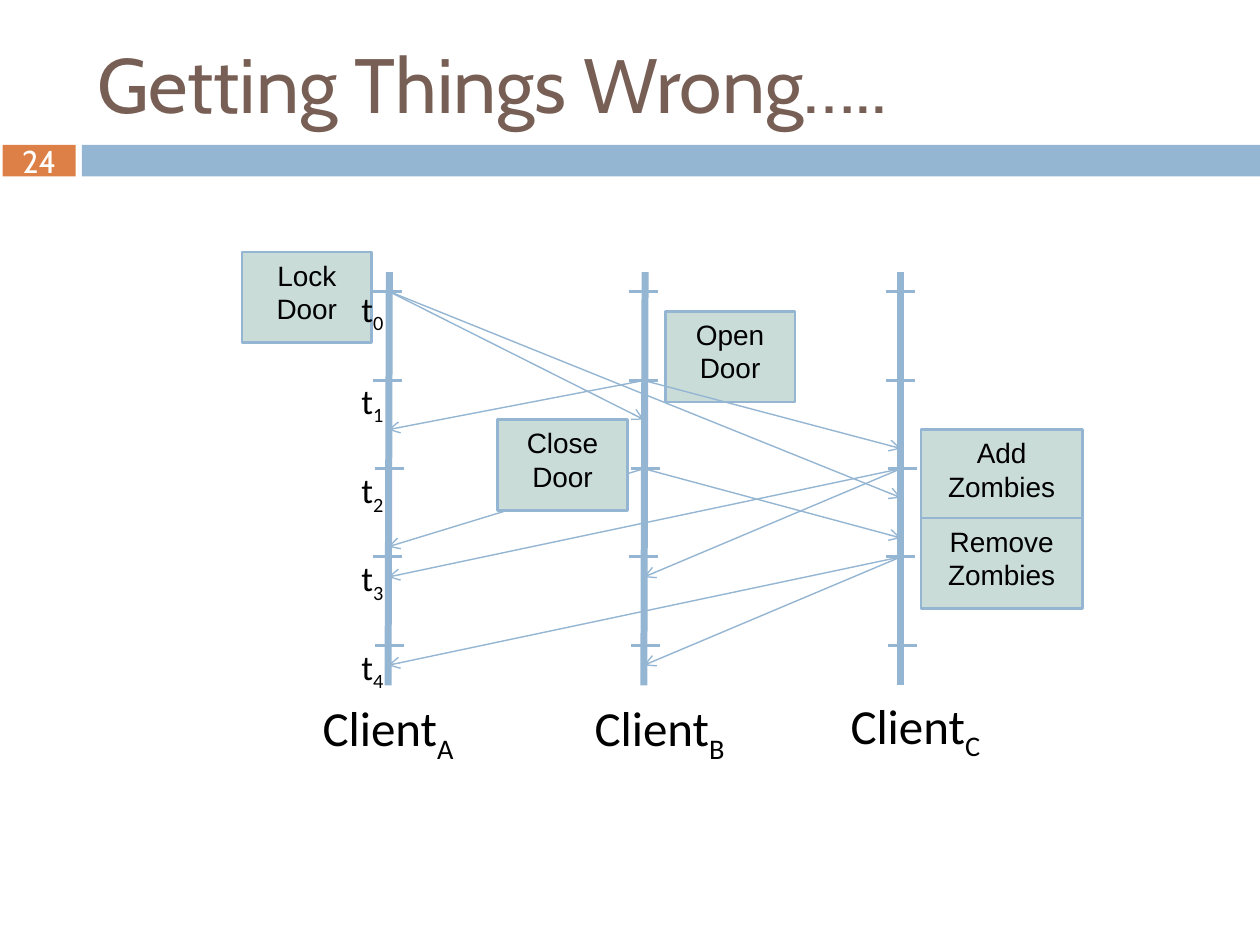
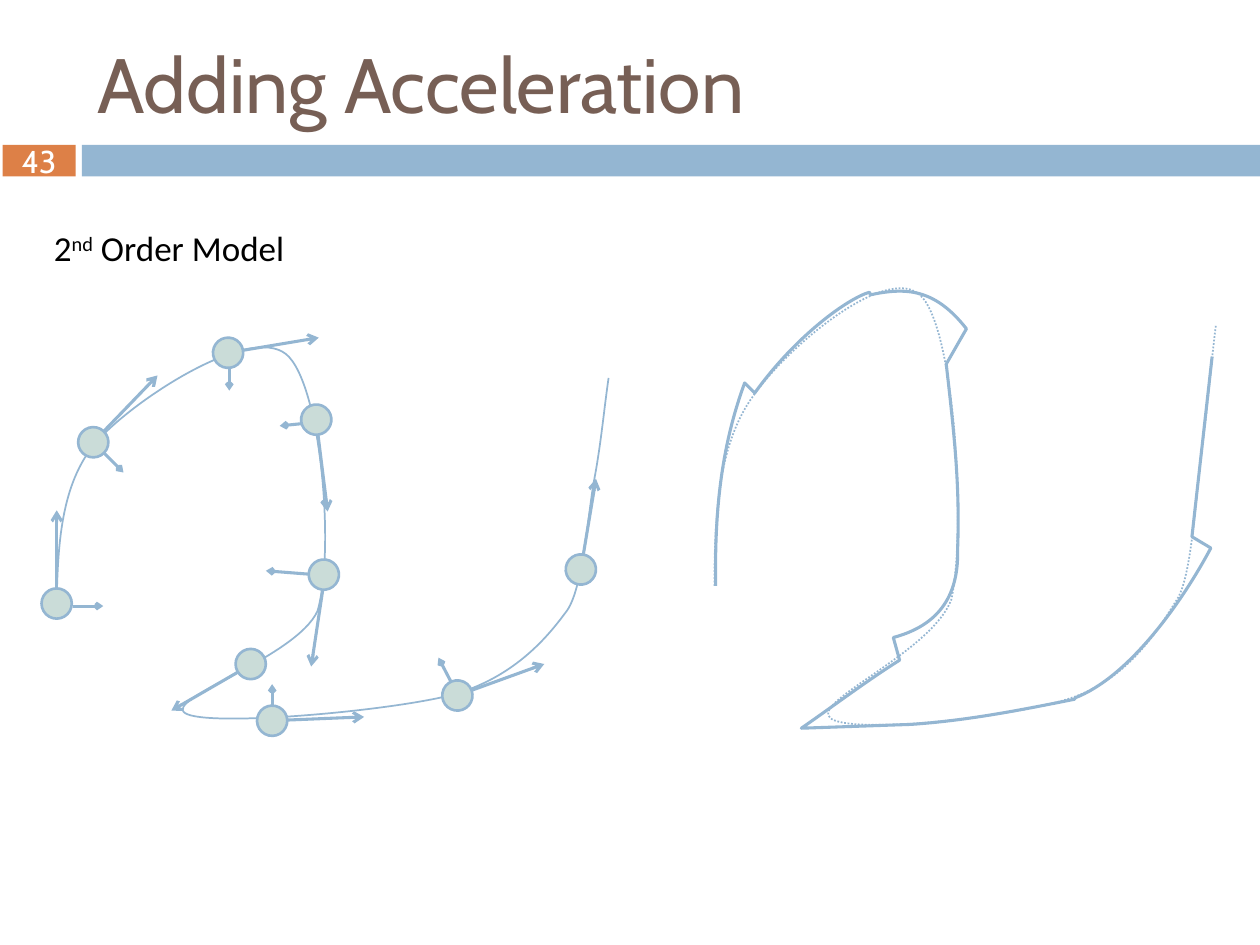
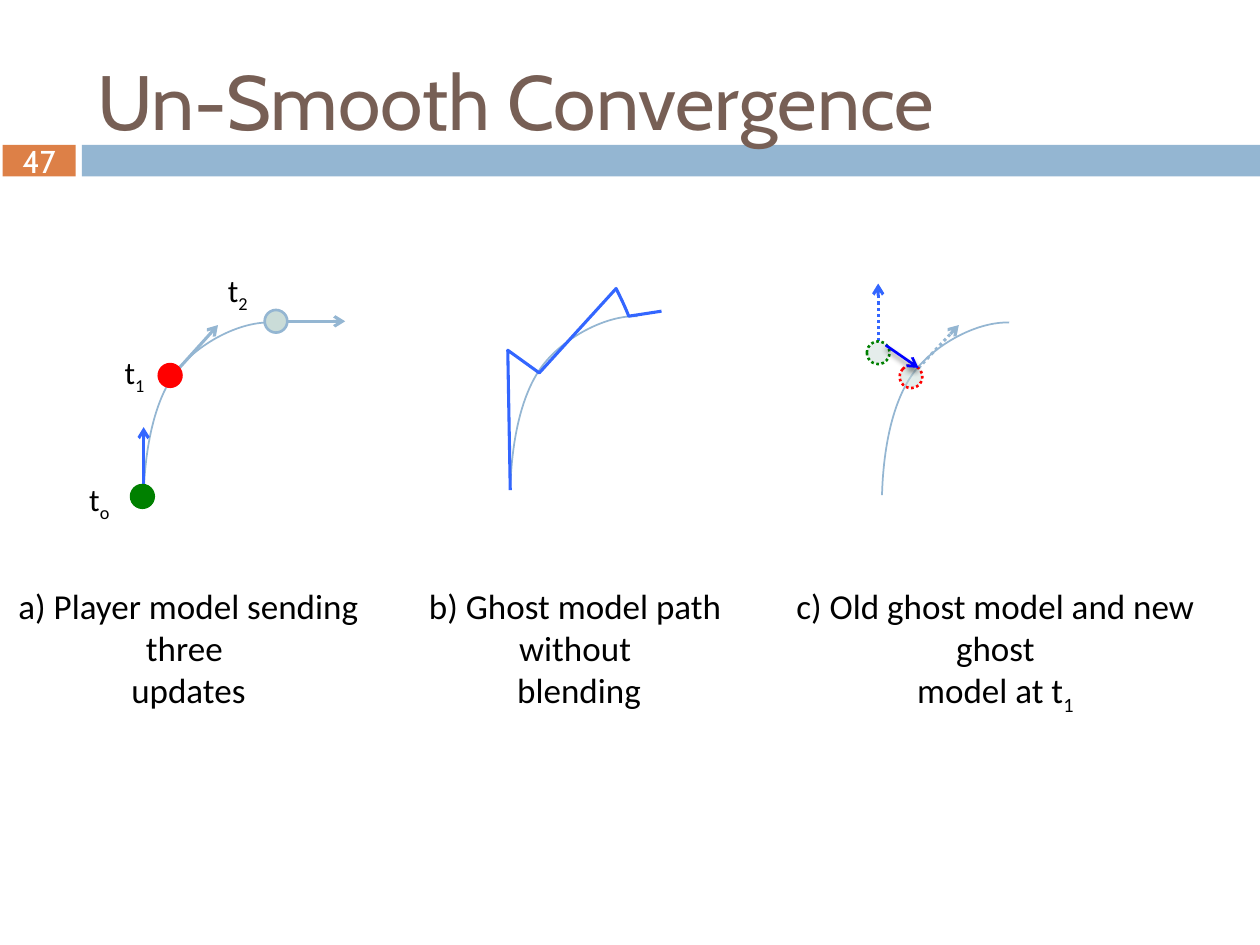
"""Build three slides on networked game clients."""
from typing import NamedTuple, Optional

from lxml.etree import SubElement
from pptx import Presentation
from pptx.dml.color import RGBColor
from pptx.enum.dml import MSO_LINE
from pptx.enum.shapes import MSO_CONNECTOR, MSO_SHAPE
from pptx.enum.text import MSO_ANCHOR, MSO_AUTO_SIZE, PP_ALIGN
from pptx.oxml.ns import qn
from pptx.util import Inches, Pt

SKY, MINT, RUST, BROWN = "94B6D2", "CADCD8", "DD8047", "775F55"
BLACK, WHITE, RED, GREEN = "000000", "FFFFFF", "FF0000", "008000"
BLUE, NAVY = "3366FF", "0000FF"
Point = tuple[float, float]


class Box(NamedTuple):
    x: float
    y: float
    wide: float
    text: str


class Note(NamedTuple):
    sender: int
    tick: int
    target: int
    y: float


class Node(NamedTuple):
    spot: Point
    turn: int
    speed: tuple[Point, Point]
    push: Optional[tuple[Point, Point]] = None


class Label(NamedTuple):
    x: float
    y: float
    wide: float
    high: float
    text: str


RAILS = ((3.09, 3.08), (5.12, 5.11), (7.15, 7.15))
NAMES = (
    Label(2.22, 5.49, 1.72, 0.57, "Client|A"),
    Label(4.1, 5.49, 2.27, 1.04, "Client|B"),
    Label(6.13, 5.47, 2.27, 1.04, "Client|C"),
)
TICKS = (2.31, 3.02, 3.72, 4.42, 5.12)
TIMES = (2.23, 2.96, 3.67, 4.37, 5.07)
BOXES = (
    Box(1.92, 2, 1.03, "Lock Door"),
    Box(5.28, 2.47, 1.03, "Open\nDoor"),
    Box(7.31, 3.41, 1.28, "Add\nZombies"),
    Box(7.31, 4.11, 1.28, "Remove\nZombies"),
)
CLOSE = Box(3.95, 3.33, 1.03, "Close\nDoor")
NOTES = (
    Note(0, 0, 1, 3.33), Note(0, 0, 2, 3.95),
    Note(1, 1, 0, 3.41), Note(1, 1, 2, 3.56),
    Note(1, 2, 0, 4.34), Note(1, 2, 2, 4.27),
    Note(2, 2, 0, 4.58), Note(2, 2, 1, 4.58),
    Note(2, 3, 0, 5.28), Note(2, 3, 1, 5.28),
)
NODES = (
    Node((0.45, 4.79), 0, ((0.45, 4.79), (0.45, 4.05)),
         ((0.58, 4.81), (0.82, 4.81))),
    Node((0.74, 3.51), 43, ((0.74, 3.51), (1.25, 2.98)),
         ((0.74, 3.51), (0.98, 3.75))),
    Node((1.81, 2.8), 80, ((1.81, 2.8), (2.53, 2.68)),
         ((1.82, 2.85), (1.82, 3.1))),
    Node((2.51, 3.33), 173, ((2.51, 3.34), (2.6, 4.06)),
         ((2.42, 3.36), (2.22, 3.38))),
    Node((2.57, 4.56), 188, ((2.58, 4.56), (2.47, 5.29)),
         ((2.49, 4.56), (2.11, 4.53))),
    Node((1.99, 5.27), 240, ((2, 5.27), (1.36, 5.64))),
    Node((2.16, 5.72), 88, ((2.16, 5.72), (2.89, 5.69)),
         ((2.16, 5.67), (2.16, 5.43))),
    Node((3.63, 5.52), 70, ((3.63, 5.52), (4.32, 5.27)),
         ((3.61, 5.47), (3.48, 5.22))),
    Node((4.61, 4.52), 9, ((4.61, 4.52), (4.73, 3.8))),
)
TRACK = (
    (0.45, 4.77),
    (0.46, 4.29, 0.49, 3.8, 0.79, 3.48), (1.1, 3.15, 1.98, 2.58, 2.27, 2.81),
    (2.55, 3.04, 2.66, 4.38, 2.52, 4.85), (2.35, 5.22, 1.29, 5.55, 1.47, 5.66),
    (1.64, 5.77, 3.04, 5.65, 3.57, 5.52), (4.1, 5.38, 4.37, 5.02, 4.49, 4.86),
    (4.62, 4.7, 4.66, 4.15, 4.71, 3.84), (4.77, 3.53, 4.79, 3.28, 4.83, 3),
)
TRUE = (
    (5.67, 4.65),
    (5.67, 4.09, 5.7, 3.52, 5.98, 3.14), (6.25, 2.75, 7.05, 2.08, 7.31, 2.35),
    (7.58, 2.62, 7.67, 4.2, 7.55, 4.76), (7.39, 5.18, 6.43, 5.57, 6.59, 5.7),
    (6.75, 5.83, 8.02, 5.7, 8.5, 5.54), (8.98, 5.38, 9.22, 4.95, 9.34, 4.76),
    (9.46, 4.58, 9.49, 3.92, 9.54, 3.56), (9.59, 3.19, 9.61, 2.9, 9.65, 2.58),
)
GUESS = (
    (5.68, 4.65), (5.67, 4.03, 5.73, 3.53, 5.91, 3.04),
    (5.99, 3.12), (6.32, 2.66, 6.73, 2.37, 6.9, 2.32),
    (6.91, 2.34), (7.19, 2.28, 7.42, 2.29, 7.67, 2.61),
    (7.51, 2.89), (7.57, 3.42, 7.62, 3.85, 7.6, 4.36),
    (7.6, 4.37), (7.61, 4.79, 7.39, 4.98, 7.09, 5.06),
    (7.14, 5.24), (6.87, 5.41, 6.62, 5.6, 6.36, 5.78),
    (7.23, 5.75), (7.67, 5.72, 8.08, 5.64, 8.53, 5.55),
    (8.53, 5.54), (8.95, 5.38, 9.37, 4.8, 9.61, 4.35),
    (9.46, 4.26), (9.62, 2.83),
)
ARC = ((0, 0), (0.01, -0.36, 0.08, -0.74, 0.25, -0.97),
       (0.42, -1.2, 0.76, -1.38, 1.01, -1.37))
ZIGZAG = ((4.05, 3.89), (4.03, 2.78), (4.28, 2.96), (4.89, 2.29),
          (4.97, 2.45, 4.99, 2.51, 4.99, 2.51), (5.25, 2.47))
CAPTIONS = (
    Label(-0.06, 4.59, 3.11, 1.11, "a) Player model sending three \nupdates"),
    Label(3.08, 4.59, 2.97, 1.11, "b) Ghost model path without\n blending"),
    Label(6.18, 4.59, 3.44, 1.11,
          "c) Old ghost model and new ghost\nmodel at t|1"),
)
MARKS = (
    Label(0.61, 3.76, 0.37, 0.4, "t|o"),
    Label(0.89, 2.75, 0.37, 0.4, "t|1"),
    Label(1.71, 2.1, 0.37, 0.4, "t|2"),
)


def paint(target, color: str) -> None:
    if hasattr(target, "solid"):
        target.solid()
        target = target.fore_color
    target.rgb = RGBColor.from_string(color)


def write(shape, text: str, *, size: float, font: str = "Calibri",
          color: str = BLACK, align=PP_ALIGN.CENTER, anchor=MSO_ANCHOR.TOP,
          wrap: bool = True, base: int = -25) -> None:
    frame = shape.text_frame
    frame.word_wrap = wrap
    frame.vertical_anchor = anchor
    for row, words in enumerate(text.split("\n")):
        para = frame.add_paragraph() if row else frame.paragraphs[0]
        para.alignment = align
        for turn, part in enumerate(words.split("|")):
            run = para.add_run()
            run.text = part
            run.font.size = Pt(size)
            run.font.name = font
            paint(run.font.color, color)
            if turn % 2:
                run._r.get_or_add_rPr().set("baseline", str(base * 1000))


def label(slide, spec: Label, **style) -> None:
    box = slide.shapes.add_textbox(
        Inches(spec.x), Inches(spec.y), Inches(spec.wide), Inches(spec.high))
    write(box, spec.text, **style)
    box.text_frame.auto_size = MSO_AUTO_SIZE.SHAPE_TO_FIT_TEXT


def stroke(line, color: str, width: float, dotted: bool = False) -> None:
    paint(line.fill, color)
    line.width = Pt(width)
    if dotted:
        line.dash_style = MSO_LINE.ROUND_DOT


def solid(slide, kind, x: float, y: float, wide: float, high: float, fill: str,
          edge: Optional[str] = None, dotted: bool = False):
    shape = slide.shapes.add_shape(
        kind, Inches(x), Inches(y), Inches(wide), Inches(high))
    shape.shadow.inherit = False
    paint(shape.fill, fill)
    if edge:
        stroke(shape.line, edge, 1.5, dotted)
    else:
        shape.line.fill.background()
    return shape


def link(slide, start: Point, end: Point, width: float = 1.75, color: str = SKY,
         head: Optional[str] = "med", dotted: bool = False,
         shade: bool = False) -> None:
    line = slide.shapes.add_connector(
        MSO_CONNECTOR.STRAIGHT, *(Inches(v) for v in (*start, *end)))
    stroke(line.line, color, width, dotted)
    if head:
        SubElement(line.line._get_or_add_ln(), qn("a:tailEnd"), type="arrow",
                   w=head, len=head)
    effects = SubElement(line._element.spPr, qn("a:effectLst"))
    if shade:
        cast = SubElement(effects, qn("a:outerShdw"), blurRad=str(Pt(3)),
                          dist=str(Pt(2.4)), dir="5400000", rotWithShape="0")
        tone = SubElement(cast, qn("a:srgbClr"), val=BLACK)
        SubElement(tone, qn("a:alpha"), val="45000")


def dot(slide, spot: Point, size: float, fill: str = MINT, edge: str = SKY,
        turn: int = 0, alpha: int = 100) -> None:
    x, y = spot
    disc = solid(slide, MSO_SHAPE.OVAL, x - size / 2, y - size / 2, size, size,
                 fill, edge, alpha < 100)
    disc.rotation = turn
    if alpha < 100:
        tone = disc._element.spPr.find(qn("a:solidFill")).find(qn("a:srgbClr"))
        SubElement(tone, qn("a:alpha"), val=str(alpha * 1000))


def curve(slide, steps, width: float = 1, color: str = SKY, dotted: bool = False,
          shift: Point = (0, 0)) -> None:
    spots = [(Inches(x + shift[0]), Inches(y + shift[1]))
             for step in steps for x, y in zip(step[::2], step[1::2])]
    pen = slide.shapes.build_freeform(*spots[0])
    pen.add_line_segments(spots[1:], close=False)
    shape = pen.convert_to_shape()
    route = next(shape._element.iter(qn("a:path")))
    parts = iter(route.findall(qn("a:lnTo")))
    for step in steps[1:]:
        first = next(parts)
        if len(step) == 6:
            first.tag = qn("a:cubicBezTo")
            for _ in range(2):
                extra = next(parts)
                first.append(extra[0])
                route.remove(extra)
    shape.shadow.inherit = False
    shape.fill.background()
    stroke(shape.line, color, width, dotted)


def start(deck, title: str, number: int, high: float = 0.82):
    slide = deck.slides.add_slide(deck.slide_layouts[5])
    badge = solid(slide, MSO_SHAPE.RECTANGLE, 0.02, 1.15, 0.58, 0.25, RUST)
    write(badge, str(number), size=18, font="Cabin", color=WHITE,
          anchor=MSO_ANCHOR.MIDDLE)
    solid(slide, MSO_SHAPE.RECTANGLE, 0.65, 1.15, 9.35, 0.25, SKY)
    head = slide.shapes.title
    head.left, head.top = Inches(0.67), Inches(0.25)
    head.width, head.height = Inches(8.92), Inches(high)
    write(head, title, size=44, font="Cabin", color=BROWN, align=PP_ALIGN.LEFT,
          anchor=MSO_ANCHOR.MIDDLE)
    head.text_frame.auto_size = MSO_AUTO_SIZE.NONE
    slide.shapes._spTree.append(head._element)
    return slide


def event(slide, box: Box) -> None:
    shape = solid(slide, MSO_SHAPE.RECTANGLE, box.x, box.y, box.wide, 0.72,
                  MINT, SKY)
    write(shape, box.text, size=16, font="Arial")


def wrong(deck) -> None:
    slide = start(deck, "Getting Things Wrong…..", 24)
    for (top, foot), name in zip(RAILS, NAMES):
        link(slide, (top, 2.16), (foot, 5.44), 4, head=None)
        label(slide, name, size=28)
        for step, y in enumerate(TICKS):
            left = foot - (0.1 if step in (2, 4) else 0.12)
            link(slide, (left, y), (left + 0.23, y), head=None)
    for box in BOXES:
        event(slide, box)
    for note in NOTES:
        link(slide, (RAILS[note.sender][1], TICKS[note.tick]),
             (RAILS[note.target][1], note.y), 0.79)
    event(slide, CLOSE)
    for step, y in enumerate(TIMES):
        label(slide, Label(2.77, y, 0.39, 0.44, f"t|{step}"), size=20,
              align=PP_ALIGN.LEFT, wrap=False)


def speed(deck) -> None:
    slide = start(deck, "Adding Acceleration", 43)
    label(slide, Label(0.33, 1.75, 2.07, 0.44, "2|nd| Order Model"), size=20,
          align=PP_ALIGN.LEFT, wrap=False, base=30)
    for node in NODES:
        if node.push:
            link(slide, *node.push, head="sm")
    curve(slide, TRACK)
    for node in NODES:
        link(slide, *node.speed)
        dot(slide, node.spot, 0.24, turn=node.turn)
    curve(slide, TRUE, dotted=True)
    curve(slide, GUESS, 1.75)


def merge(deck) -> None:
    slide = start(deck, "Un-Smooth Convergence", 47, 1.08)
    for item in CAPTIONS:
        label(slide, item, size=20)
    for item in MARKS:
        label(slide, item, size=18, align=PP_ALIGN.LEFT)
    for shift in ((1.14, 3.93), (4.05, 3.88), (7, 3.93)):
        curve(slide, ARC, shift=shift)
    link(slide, (1.36, 2.99), (1.73, 2.58))
    dot(slide, (1.35, 2.98), 0.18, RED, RED, turn=43)
    link(slide, (2.19, 2.55), (2.74, 2.55))
    dot(slide, (2.19, 2.55), 0.18, turn=90)
    link(slide, (1.14, 3.95), (1.14, 3.39), color=BLUE)
    dot(slide, (1.13, 3.94), 0.18, GREEN, GREEN)
    curve(slide, ZIGZAG, 1.75, BLUE)
    link(slide, (7.29, 2.92), (7.61, 2.58), dotted=True)
    dot(slide, (7.23, 2.99), 0.18, edge=RED, turn=43, alpha=51)
    link(slide, (6.97, 2.71), (6.97, 2.25), color=BLUE, dotted=True)
    dot(slide, (6.97, 2.8), 0.18, edge=GREEN, alpha=49)
    link(slide, (7.03, 2.74), (7.29, 2.92), 1.5, NAVY, shade=True)


def main() -> None:
    deck = Presentation()
    deck.slide_width, deck.slide_height = Inches(10), Inches(7.5)
    wrong(deck)
    speed(deck)
    merge(deck)
    deck.save("out.pptx")


if __name__ == "__main__":
    main()
